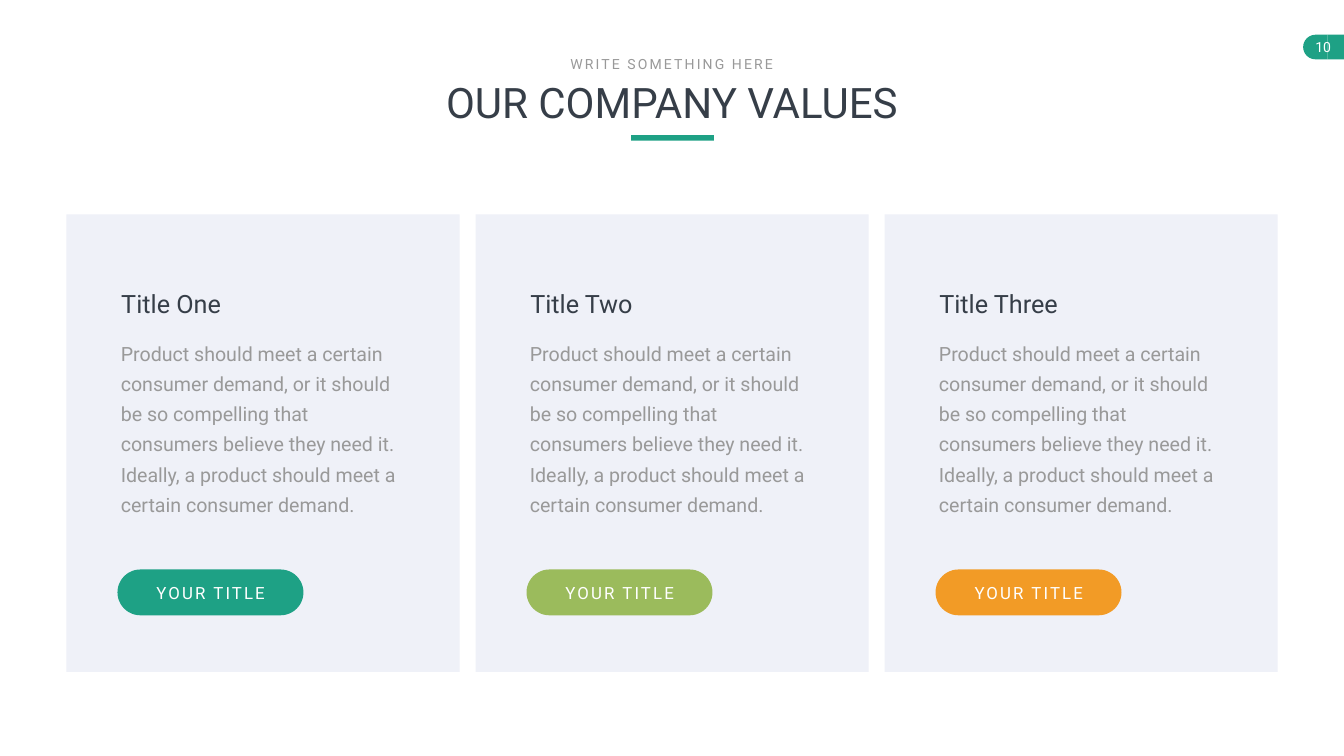
from dataclasses import dataclass

from pptx import Presentation
from pptx.dml.color import RGBColor
from pptx.enum.shapes import MSO_SHAPE as Shape
from pptx.enum.text import MSO_AUTO_SIZE as AutoSize, PP_ALIGN as Align
from pptx.shapes.autoshape import Shape as AutoShape
from pptx.slide import Slide
from pptx.util import Cm, Pt

WHITE = RGBColor(0xFF, 0xFF, 0xFF)
GREEN = RGBColor(0x1E, 0xA1, 0x85)
LIME = RGBColor(0x9B, 0xBB, 0x5C)
ORANGE = RGBColor(0xF2, 0x9B, 0x26)
PANEL = RGBColor(0xEF, 0xF1, 0xF8)
DARK = RGBColor(0x36, 0x3E, 0x48)
GRAY = RGBColor(0x99, 0x99, 0x99)

FONT = "Roboto"
CARD_LEFT = 3.35
CARD_PITCH = 20.61
BODY = (
    "Product should meet a certain consumer demand, or it should be so "
    "compelling that consumers believe they need it. Ideally, a product "
    "should meet a certain consumer demand."
)


@dataclass(frozen=True)
class Box:
    left: float
    top: float
    width: float
    height: float

    def lengths(self) -> tuple[Cm, Cm, Cm, Cm]:
        return Cm(self.left), Cm(self.top), Cm(self.width), Cm(self.height)


@dataclass(frozen=True)
class TextStyle:
    size: int
    color: RGBColor
    align: Align = Align.LEFT
    wrap: bool = False
    tracking: int = 0
    line_spacing: int | None = None
    inset: tuple[float, float] = (0.25, 0.13)


@dataclass(frozen=True)
class Card:
    title: str
    title_width: float
    accent: RGBColor


SUBTITLE = TextStyle(20, GRAY, Align.CENTER, tracking=3)
HEADING = TextStyle(60, DARK, Align.CENTER, wrap=True)
PAGE_NUMBER = TextStyle(20, WHITE, Align.CENTER, inset=(0.51, 0.25))
CARD_TITLE = TextStyle(36, DARK)
CARD_BODY = TextStyle(28, GRAY, wrap=True, line_spacing=43, inset=(0.61, 0.3))
BUTTON_LABEL = TextStyle(24, WHITE, Align.CENTER, tracking=3)

CARDS = [
    Card("Title One", 5.64, GREEN),
    Card("Title Two", 5.82, LIME),
    Card("Title Three", 6.63, ORANGE),
]


def add_block(s: Slide, kind: Shape, box: Box, color: RGBColor) -> AutoShape:
    sp = s.shapes.add_shape(kind, *box.lengths())
    sp.shadow.inherit = False
    sp.fill.solid()
    sp.fill.fore_color.rgb = color
    sp.line.fill.background()
    return sp


def add_text(s: Slide, text: str, box: Box, style: TextStyle) -> None:
    tf = s.shapes.add_textbox(*box.lengths()).text_frame
    tf.word_wrap = style.wrap
    tf.auto_size = AutoSize.SHAPE_TO_FIT_TEXT
    tf.margin_left = tf.margin_right = Cm(style.inset[0])
    tf.margin_top = tf.margin_bottom = Cm(style.inset[1])
    p = tf.paragraphs[0]
    r = p.add_run()
    r.text = text
    p.alignment = style.align
    if style.line_spacing:
        p.line_spacing = Pt(style.line_spacing)
    p.font.name = FONT
    p.font.size = Pt(style.size)
    p.font.color.rgb = style.color
    if style.tracking:
        r.font._element.set("spc", str(style.tracking * 100))


def add_page_tab(s: Slide, number: str) -> None:
    cap = add_block(s, Shape.FLOWCHART_DELAY, Box(65.66, 1.75, 1.24, 1.24), GREEN)
    cap.rotation = 180
    add_block(s, Shape.RECTANGLE, Box(66.9, 1.75, 0.81, 1.24), GREEN)
    add_text(s, number, Box(65.52, 1.7, 2.31, 1.37), PAGE_NUMBER)


def add_header(s: Slide) -> None:
    add_block(s, Shape.RECTANGLE, Box(31.8, 6.81, 4.17, 0.28), GREEN)
    add_text(s, "OUR COMPANY VALUES", Box(18.64, 3.73, 30.43, 2.82), HEADING)
    add_text(s, "WRITE SOMETHING HERE", Box(28.32, 2.67, 11.05, 1.12), SUBTITLE)


def add_card(s: Slide, card: Card, left: float) -> None:
    add_block(s, Shape.RECTANGLE, Box(left, 10.8, 19.81, 23.06), PANEL)
    add_text(s, BODY, Box(left + 2.13, 16.61, 15.49, 9.63), CARD_BODY)
    add_text(s, card.title, Box(left + 2.51, 14.38, card.title_width, 1.8), CARD_TITLE)
    button = add_block(
        s, Shape.ROUNDED_RECTANGLE, Box(left + 2.57, 28.7, 9.37, 2.31), card.accent
    )
    button.adjustments[0] = 0.5
    add_text(s, "YOUR TITLE", Box(left + 4.14, 29.26, 6.25, 1.27), BUTTON_LABEL)


def main() -> None:
    prs = Presentation()
    prs.slide_width, prs.slide_height = Cm(67.72), Cm(38.1)
    s = prs.slides.add_slide(prs.slide_layouts[6])
    s.background.fill.solid()
    s.background.fill.fore_color.rgb = WHITE
    add_page_tab(s, "10")
    for i, card in enumerate(CARDS):
        add_card(s, card, CARD_LEFT + i * CARD_PITCH)
    add_header(s)
    prs.save("out.pptx")


if __name__ == "__main__":
    main()
